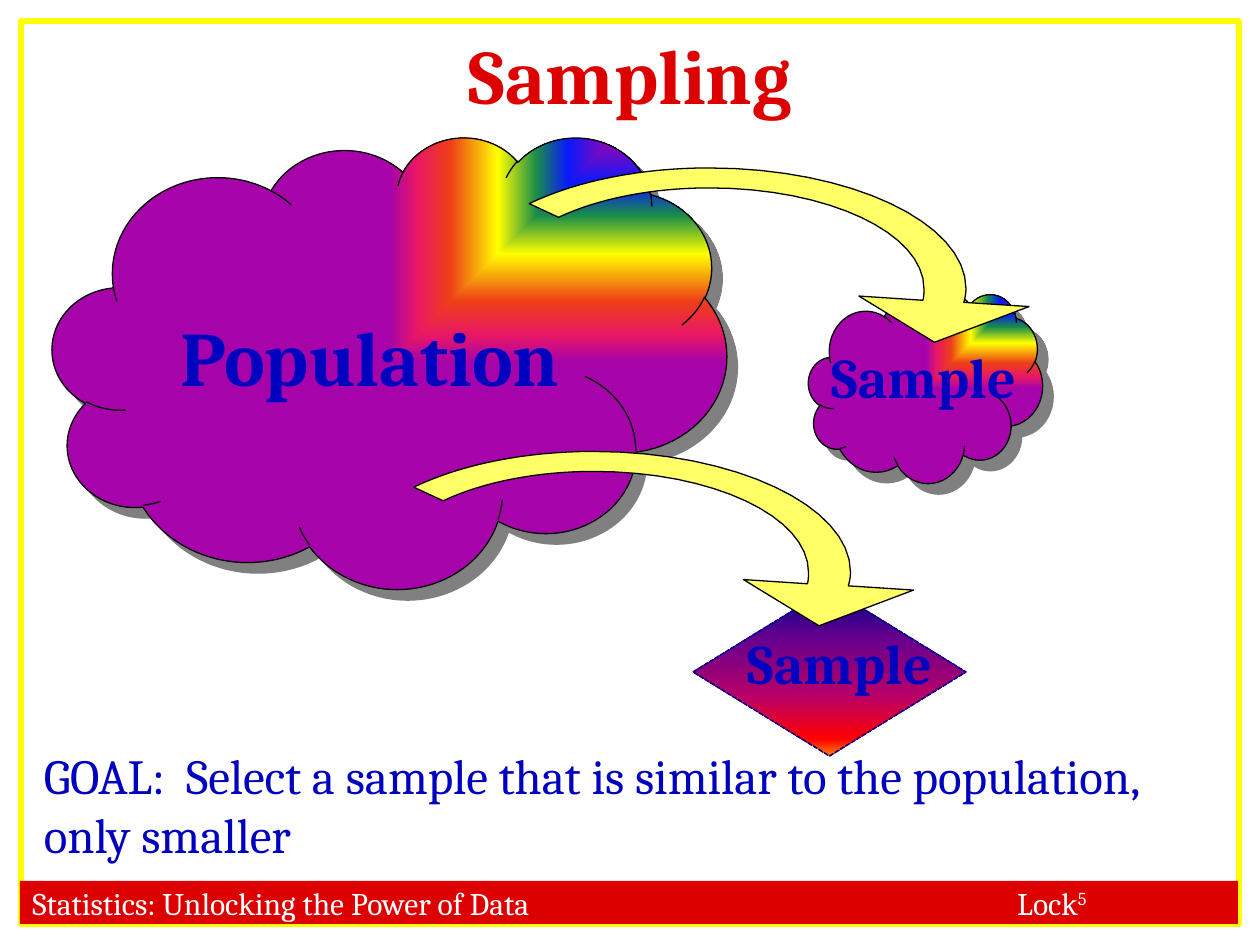
import pptx
import pptx.util
import pptx.dml.color
import pptx.enum.dml
import pptx.enum.shapes
import pptx.enum.text
import pptx.oxml.ns
import lxml.etree

KIND = pptx.enum.shapes.MSO_SHAPE
ALIGN = pptx.enum.text.PP_ALIGN
ANCHOR = pptx.enum.text.MSO_ANCHOR

THEME = {
    "font": "Cambria", "red": "DC0000", "blue": "0000BF", "navy": "00008D",
    "white": "FFFFFF", "black": "000000", "frame": "FFFF00",
    "arrow": "FFFF66", "shade": "808080",
    "big": 44, "mid": 32, "goal": 28, "foot": 18,
    "rainbow": [(0, "A603AB"), (21, "0819FB"), (35, "1A8D48"), (52, "FFFF00"),
                (73, "EE3F17"), (88, "E81766"), (100, "A603AB")],
    "dusk": [(0, "000082"), (30, "66008F"), (65, "BA0066"),
             (90, "FF0000"), (100, "FF8200")],
}

# Content: boxes are left, top, width, height in cells of a 120 by 90 grid
COLS, ROWS = 120, 90
FRAME = (2, 2, 116, 86)
FOOT = (1.9, 83.9, 116, 4.1)
FOOT_TEXT = ("Statistics: Unlocking the Power of Data\tLock", "5")
FOOT_TAB = 93.8
GEM = (66, 56, 26, 16)
CLOUDS = [(5, 13, 64.2, 43), (77, 28, 22.3, 18)]
LABELS = [  # text, box, size, colour, bold, align
    ("Sampling", (6, 2, 108, 13), "big", "red", True, ALIGN.CENTER),
    ("Population", (16, 28.9, 41, 10), "big", "blue", True, ALIGN.LEFT),
    ("Sample", (78, 32, 21.2, 7.7), "mid", "blue", True, ALIGN.LEFT),
    ("Sample", (70, 59.3, 23.2, 7.7), "mid", "blue", True, ALIGN.LEFT),
    ("GOAL:  Select a sample that is similar to the population, only smaller",
     (3, 70.4, 113, 12.5), "goal", "blue", False, ALIGN.LEFT),
]
# Arrow outline: one point is a straight step, three points a cubic curve
STARTS = [(43, 16), (32, 43)]
OUTLINE = [
    [(44.9, 12.6)],
    [(45, 12.2), (45, 11.9), (45, 11.5)],
    [(45, 6.2), (35.9, 1.9), (24.5, 1.9)],
    [(19.2, 1.9), (14, 2.9), (10.2, 4.7)],
    [(7.4, 3.4)],
    [(12, 1.2), (18.1, 0), (24.5, 0)],
    [(38, 0), (49, 5.2), (49, 11.5)],
    [(49, 12), (48.9, 12.4), (48.8, 12.8)],
    [(55, 13.2)], [(46, 16.6)], [(38.8, 12.2)],
]
STEPS = 16

deck = pptx.Presentation()
deck.slide_width = pptx.util.Inches(10)
deck.slide_height = pptx.util.Inches(7.5)
slide = deck.slides.add_slide(deck.slide_layouts[6])
shapes = slide.shapes


def place(box):
    wide, high = deck.slide_width / COLS, deck.slide_height / ROWS
    return [round(n * size) for n, size in zip(box, (wide, high, wide, high))]


def color(name):
    return pptx.dml.color.RGBColor.from_string(THEME[name])


def node(parent, tag, **attrs):
    item = lxml.etree.SubElement(parent, pptx.oxml.ns.qn("a:" + tag))
    for key, value in attrs.items():
        item.set(key, str(value))
    return item


def style(shape, fill=None, line=None, width=0.75):
    shape.shadow.inherit = False
    if fill:
        shape.fill.solid()
        shape.fill.fore_color.rgb = color(fill)
    else:
        shape.fill.background()
    if line:
        shape.line.color.rgb = color(line)
        shape.line.width = pptx.util.Pt(width)
    else:
        shape.line.fill.background()


def blend(shape, stops, corner=False):
    shape.fill.gradient()
    grad = shape._element.spPr.find(pptx.oxml.ns.qn("a:gradFill"))
    for child in list(grad):
        grad.remove(child)
    group = node(grad, "gsLst")
    for share, tint in stops:
        node(node(group, "gs", pos=share * 1000), "srgbClr", val=tint)
    if corner:
        node(node(grad, "path", path="rect"), "fillToRect", l=100000, b=100000)
    else:
        node(grad, "lin", ang=90 * 60000, scaled=0)


def cast(shape):
    effects = shape._element.spPr.find(pptx.oxml.ns.qn("a:effectLst"))
    drop = node(effects, "outerShdw", dist=pptx.util.Pt(8.5), dir=45 * 60000,
                algn="ctr", rotWithShape=0)
    node(drop, "srgbClr", val=THEME["shade"])


def dress(run, size, tint, bold=False):
    run.font.name = THEME["font"]
    run.font.size = pptx.util.Pt(THEME[size])
    run.font.bold = bold
    run.font.color.rgb = color(tint)


def label(text, box, size, tint, bold, align):
    frame = shapes.add_textbox(*place(box)).text_frame
    frame.word_wrap = True
    frame.text = text
    line = frame.paragraphs[0]
    line.alignment = align
    dress(line.runs[0], size, tint, bold)


def cloud(box):
    shape = shapes.add_shape(KIND.CLOUD, *place(box))
    style(shape, line="black")
    blend(shape, THEME["rainbow"], corner=True)
    cast(shape)


def trace(parts):
    points = list(parts[0])
    for part in parts[1:]:
        if len(part) == 1:
            points += part
            continue
        knots = [points[-1]] + part
        for step in range(1, STEPS + 1):
            t = step / STEPS
            mix = ((1 - t) ** 3, 3 * t * (1 - t) ** 2, 3 * t * t * (1 - t), t ** 3)
            points.append(tuple(sum(m * k[axis] for m, k in zip(mix, knots))
                                for axis in (0, 1)))
    return points


def arrow(start):
    spots = [place((start[0] + x, start[1] + y)) for x, y in trace(OUTLINE)]
    maker = shapes.build_freeform(*spots[0])
    maker.add_line_segments(spots[1:], close=True)
    style(maker.convert_to_shape(), "arrow", "black")


# Frame and footer
style(shapes.add_shape(KIND.RECTANGLE, *place(FRAME)), line="frame", width=3)
foot = shapes.add_shape(KIND.RECTANGLE, *place(FOOT))
style(foot, "red")
foot.text_frame.vertical_anchor = ANCHOR.MIDDLE
foot.text_frame.text = FOOT_TEXT[0]
note = foot.text_frame.paragraphs[0]
note.alignment = ALIGN.LEFT
tabs = node(note._p.get_or_add_pPr(), "tabLst")
node(tabs, "tab", pos=place((FOOT_TAB,))[0], algn="l")
note.add_run().text = FOOT_TEXT[1]
for run in note.runs:
    dress(run, "foot", "white")
note.runs[-1].font._element.set("baseline", "30000")

# Diamond sample
gem = shapes.add_shape(KIND.DIAMOND, *place(GEM))
style(gem, line="navy", width=0.9)
gem.line.dash_style = pptx.enum.dml.MSO_LINE.SQUARE_DOT
blend(gem, THEME["dusk"])

# Title, clouds with their labels, arrows, then the lower text
label(*LABELS[0])
for box, words in zip(CLOUDS, LABELS[1:3]):
    cloud(box)
    label(*words)
for start in STARTS:
    arrow(start)
for words in LABELS[3:]:
    label(*words)

deck.save("out.pptx")
